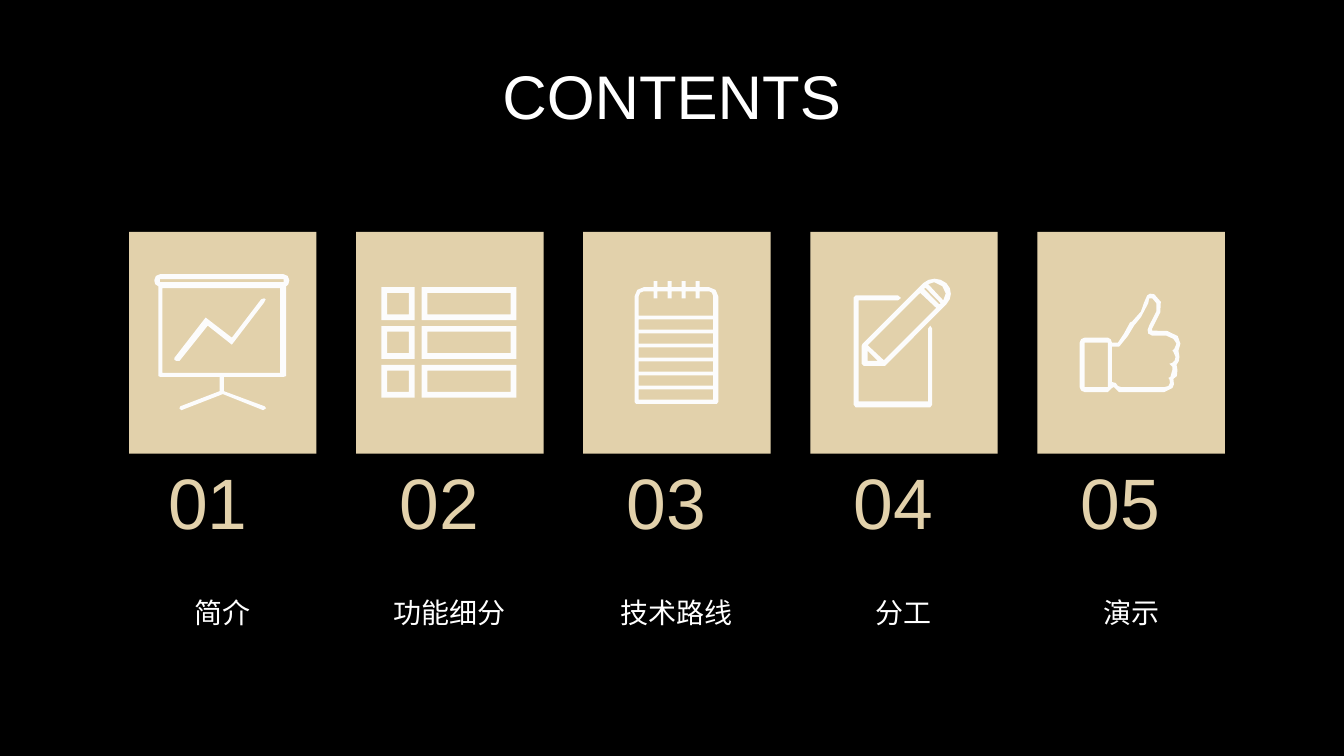
from dataclasses import dataclass

from pptx import Presentation, util as u
from pptx.dml.color import RGBColor
from pptx.enum import shapes, text

Pt = u.Pt


@dataclass(frozen=True)
class Theme:
    back: str = "000000"
    sand: str = "E2D1AB"
    white: str = "FFFFFF"
    icon: str = "FCFCFC"
    font: str = "Arial"
    head: int = 44
    num: int = 51
    label: int = 20


THEME = Theme()
LEFT, TOP, STEP = 92.2, 165.6, 162.2
WIDTH, HEIGHT = 133.9, 158.4


def paint(fill, color):
    fill.solid()
    fill.fore_color.rgb = RGBColor.from_string(color)


def write(shape, words, size, color, align):
    frame = shape.text_frame
    frame.text = words
    frame.word_wrap = True
    frame.auto_size = text.MSO_AUTO_SIZE.NONE
    frame.vertical_anchor = text.MSO_ANCHOR.MIDDLE
    para = frame.paragraphs[0]
    para.alignment = align
    para.line_spacing = 0.9
    font = para.runs[0].font
    font.name, font.size = THEME.font, Pt(size)
    font.color.rgb = RGBColor.from_string(color)


def add_text(slide, box, *style):
    write(slide.shapes.add_textbox(*map(Pt, box)), *style)


def add_card(slide, left):
    card = slide.shapes.add_shape(
        shapes.MSO_SHAPE.RECTANGLE, Pt(left), Pt(TOP), Pt(WIDTH), Pt(HEIGHT))
    card.shadow.inherit = False
    paint(card.fill, THEME.sand)
    card.line.fill.background()


def add_form(slide, left, loops):
    """Draw closed loops, given from the card corner; inner loops are holes."""
    loops = [[(Pt(left + x), Pt(TOP + y)) for x, y in loop] for loop in loops]
    form = slide.shapes.build_freeform(*loops[0][0])
    form.add_line_segments(loops[0][1:])
    for loop in loops[1:]:
        form.move_to(*loop[0])
        form.add_line_segments(loop[1:])
    shape = form.convert_to_shape()
    shape.shadow.inherit = False
    paint(shape.fill, THEME.icon)
    shape.line.fill.background()


def rect(x1, y1, x2, y2):
    return [(x1, y1), (x2, y1), (x2, y2), (x1, y2)]


def board():
    frame = [
        (114.5, 34.6), (113.3, 31.5), (110.2, 30.2), (22.3, 30.2), (19.2, 31.5),
        (18, 34.6), (18.7, 37.4), (20.9, 38.9), (20.9, 103), (22.3, 103.7),
        (64.8, 103.7), (64.8, 113.8), (36.7, 124.6), (36, 126), (37.4, 127.4),
        (67, 115.9), (95.8, 127.4), (97.9, 126), (96.8, 124.6), (67.7, 113.8),
        (67.7, 103.7), (110.2, 103.7), (112.3, 103), (112.3, 38.9), (113.8, 37.4)]
    trend = [
        (33.8, 92.2), (36, 92.2), (56.2, 67), (73.4, 80.6), (96.5, 50.4),
        (97.5, 48.2), (96.5, 47.5), (94.3, 48.2), (73.4, 75.6), (54.7, 61.2),
        (32.4, 90), (32.4, 91.5)]
    roll, sheet = rect(22, 33.8, 110.5, 36), rect(23.8, 40.3, 108, 100.8)
    return [[frame, roll, sheet], [trend]]


def rows():
    edge, high = 4.1, 23.4
    forms = []
    for row in range(3):
        y = 39.6 + 27.7 * row
        for x, wide in ((18, 23.8), (46.8, 67.7)):
            outer = rect(x, y, x + wide, y + high)
            inner = rect(x + edge, y + edge, x + wide - edge, y + high - edge)
            forms.append([outer, inner])
    return forms


def pins(base, tip):
    points = []
    for pin in range(4):
        x = 50.4 + 10 * pin
        points += [(x, base), (x, tip), (x + 2.7, tip), (x + 2.7, base)]
    return points


def pad():
    outer = [(36.7, 46.1), (38.6, 41.5), (43.2, 39.6), *pins(39.6, 35.3),
             (90, 39.6), (94.6, 41.5), (96.5, 46.1), (96.5, 121.5),
             (95.5, 122.8), (37.7, 122.8), (36.7, 121.5)]
    head = [(39.6, 46.1), (40.7, 43.5), (43.2, 42.5), *pins(42.5, 47.5),
            (90, 42.5), (92, 43.5), (92.9, 46.1), (92.9, 59.8), (39.6, 59.8)]
    lines = [rect(39.6, 62.6 + 10 * i, 92.9, 69.9 + 10 * i) for i in range(6)]
    return [[outer, head, *lines]]


def pencil():
    page = [
        (85.7, 67), (84.2, 69.1), (84.2, 121), (34.6, 121), (34.6, 49),
        (62.6, 49), (64.8, 47.2), (62.6, 45.4), (32.4, 45.4), (31, 46.8),
        (31, 123.5), (32.4, 125.3), (85.7, 125.3), (87.1, 123.5), (87.1, 69.1)]
    body = [
        (80.6, 36.7), (37.4, 79.9), (36.7, 81.4), (36.7, 94.3), (38.2, 95.8),
        (53.3, 95.8), (97.2, 51.8), (99.7, 48), (100.4, 44.3), (99.7, 40.3),
        (97.2, 36.7), (93.2, 34.3), (88.9, 33.5), (84.5, 34.3)]
    tip = [(41, 92.2), (41, 85), (48.2, 92.2)]
    stem = [(52.6, 91.8), (41, 81), (78.5, 43.6), (90, 54.4)]
    band = [(92, 51.8), (81.2, 40.7), (82.4, 40), (93.2, 51.1)]
    cap = [(95, 49), (84.2, 37.4), (88.5, 36), (94.3, 38.9), (96.8, 44)]
    return [[page], [body, tip, stem, band, cap]]


def thumb():
    outer = [
        (100.8, 85), (102.2, 79.9), (100.3, 74.5), (92.9, 70.9), (82.1, 70.6),
        (82.1, 69.1), (87.8, 57.6), (88.2, 50), (83.5, 44.6), (80.5, 44.2),
        (78.5, 45.4), (76.3, 50.4), (74, 57), (67.7, 64.1), (66.2, 64.8),
        (61.9, 72.7), (57.6, 79.2), (53.3, 79.2), (52.5, 76.8), (50.4, 75.6),
        (33.8, 75.6), (31.3, 76.7), (30.2, 79.2), (30.2, 110.9), (31.3, 113.4),
        (33.8, 114.5), (50.4, 114.5), (53.3, 111.6), (54.7, 110.9),
        (58.3, 114.5), (90.7, 114.5), (96.5, 111.6), (97.6, 109), (97.2, 105.1),
        (99.7, 103), (100.1, 98.6), (99.4, 95), (101, 92.5), (101.5, 89.3)]
    hand = [
        (97.9, 83.5), (96.5, 85), (97.2, 85.7), (98.7, 89.3), (98.2, 91.8),
        (96.5, 93.6), (94.3, 94.3), (96.5, 96.5), (96.5, 98.6), (95, 103.7),
        (93.6, 104.4), (94.3, 105.1), (94.8, 108), (93.6, 110.2), (90.7, 110.9),
        (59.8, 110.9), (57.6, 110.2), (56, 108), (53.3, 107.3), (53.3, 82.1),
        (58.3, 82.1), (59, 81.4), (64.8, 74.2), (69.1, 67), (74, 61),
        (79.2, 51.1), (79.9, 47.5), (82.1, 47.5), (85, 51), (85, 56.9),
        (79.9, 67), (78.8, 70), (79.2, 72.7), (82.1, 74.2), (92.2, 74.2),
        (97.2, 76.5), (99.4, 79.9)]
    return [[outer, rect(33.8, 79.2, 50.4, 110.9), hand]]


# Label, icon and indent of the number
ITEMS = [("简介", board, 20.9), ("功能细分", rows, 23.8),
         ("技术路线", pad, 23.8), ("分工", pencil, 23.8), ("演示", thumb, 23.8)]


def main():
    deck = Presentation()
    deck.slide_width, deck.slide_height = Pt(960), Pt(540)
    slide = deck.slides.add_slide(deck.slide_layouts[5])
    paint(slide.background.fill, THEME.back)
    align = text.PP_ALIGN

    title = slide.shapes.title
    title.left, title.top, title.width, title.height = map(
        Pt, (301.7, 38.2, 356.4, 65.5))
    write(title, "CONTENTS", THEME.head, THEME.white, align.CENTER)

    for i, (label, icon, indent) in enumerate(ITEMS):
        left = LEFT + STEP * i
        add_card(slide, left)
        for loops in icon():
            add_form(slide, left, loops)
        add_text(slide, (left + indent, 324.7, 74.9, 74.2),
                 f"{i + 1:02}", THEME.num, THEME.sand, align.LEFT)
        add_text(slide, (left, 406.1, WIDTH, 66.2),
                 label, THEME.label, THEME.white, align.CENTER)
    deck.save("out.pptx")


if __name__ == "__main__":
    main()
